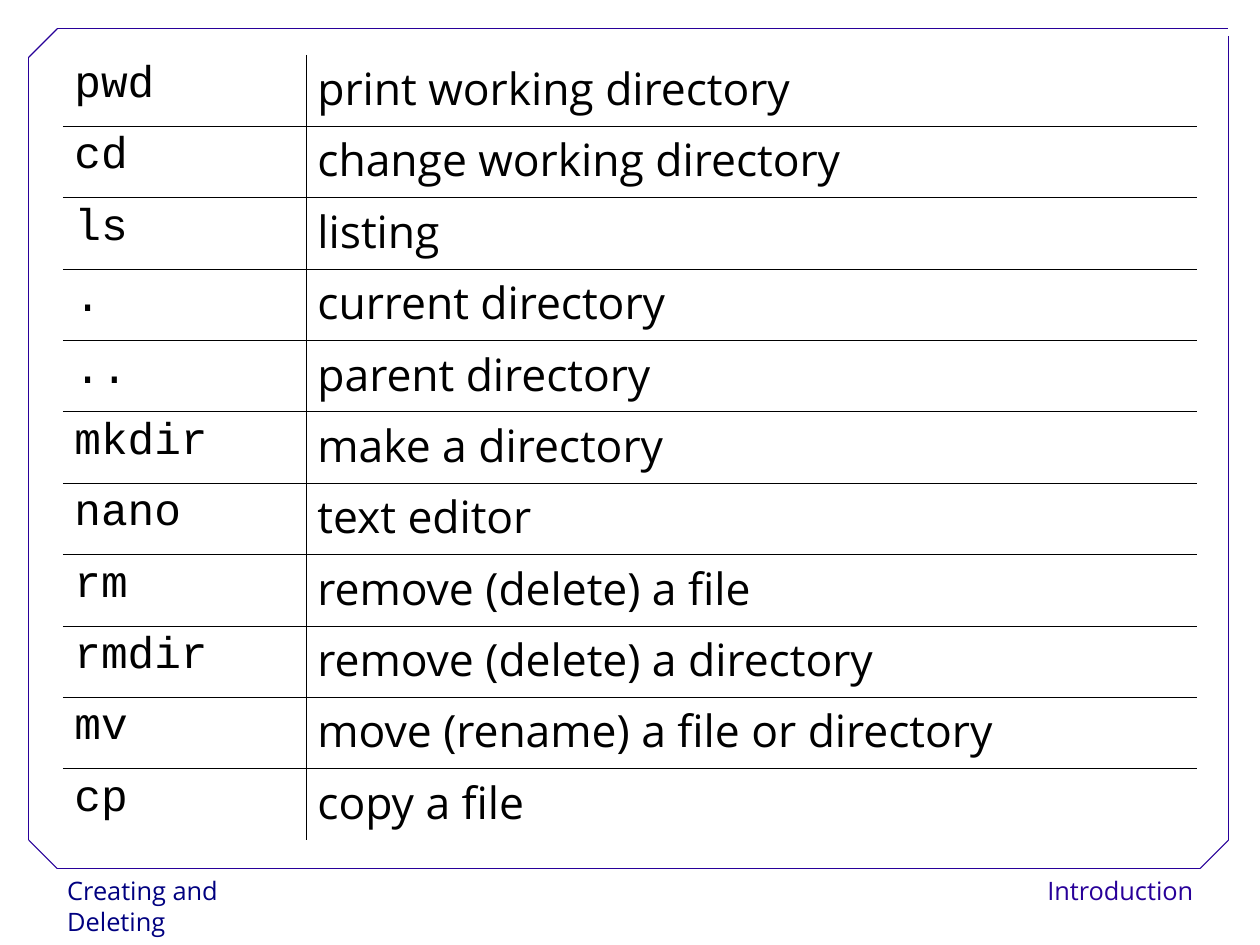
"""Build the slide listing shell commands for creating and deleting files."""
from dataclasses import dataclass

from lxml.etree import SubElement
from pptx import Presentation
from pptx.dml.color import RGBColor
from pptx.enum.shapes import MSO_CONNECTOR
from pptx.enum.text import MSO_ANCHOR, MSO_AUTO_SIZE, PP_ALIGN
from pptx.oxml.ns import qn
from pptx.util import Cm, Pt

COLORS = {"navy": "000080", "violet": "280099", "black": "000000", "white": "FFFFFF"}
MONO, SANS = "Courier New", "Open Sans"


@dataclass
class Label:
    text: str
    left: float
    width: float
    color: str
    align: PP_ALIGN


@dataclass
class Line:
    x1: float
    y1: float
    x2: float
    y2: float


@dataclass
class Command:
    name: str
    meaning: str


TITLE = Label("Creating and Deleting", 1.24, 6.17, "navy", PP_ALIGN.LEFT)
SECTION = Label("Introduction", 23.04, 3.73, "violet", PP_ALIGN.RIGHT)
LEFT, TOP, RIGHT, BOTTOM, CUT = 0.64, 0.64, 27.3, 19.3, 0.63
FRAME = [
    Line(LEFT + CUT, BOTTOM, RIGHT - CUT, BOTTOM),
    Line(LEFT, BOTTOM - CUT, LEFT, TOP + CUT),
    Line(LEFT + CUT, TOP, RIGHT, TOP),
    Line(RIGHT, BOTTOM - CUT, RIGHT, 0.81),
    Line(LEFT, TOP + CUT, LEFT + CUT, TOP),
    Line(RIGHT - CUT, BOTTOM, RIGHT, BOTTOM - CUT),
    Line(LEFT, BOTTOM - CUT, LEFT + CUT, BOTTOM),
]
COMMANDS = [
    Command("pwd", "print working directory"),
    Command("cd", "change working directory"),
    Command("ls", "listing"),
    Command(".", "current directory"),
    Command("..", "parent directory"),
    Command("mkdir", "make a directory"),
    Command("nano", "text editor"),
    Command("rm", "remove (delete) a file"),
    Command("rmdir", "remove (delete) a directory"),
    Command("mv", "move (rename) a file or directory"),
    Command("cp", "copy a file"),
]


def rgb(name: str) -> RGBColor:
    return RGBColor.from_string(COLORS[name])


def format_text(tf, font: str, size: int, color: str, spacing: float) -> None:
    p = tf.paragraphs[0]
    p.line_spacing = spacing
    for r in p.runs:
        r.font.name, r.font.size = font, Pt(size)
        r.font.color.rgb = rgb(color)


def write_label(s, label: Label) -> None:
    s.left, s.top, s.width, s.height = Cm(label.left), Cm(19.3), Cm(label.width), Cm(1.02)
    s.fill.solid()
    s.fill.fore_color.rgb = rgb("white")
    tf = s.text_frame
    tf.text = label.text
    tf.word_wrap = False
    tf.auto_size = MSO_AUTO_SIZE.NONE
    tf.vertical_anchor = MSO_ANCHOR.TOP
    tf.paragraphs[0].alignment = label.align
    format_text(tf, SANS, 16, label.color, 1.02)


def draw_line(shapes, line: Line) -> None:
    s = shapes.add_connector(MSO_CONNECTOR.STRAIGHT, Cm(line.x1), Cm(line.y1),
                             Cm(line.x2), Cm(line.y2))
    s.line.color.rgb = rgb("violet")
    s.line.width = Pt(0.75)
    SubElement(s._element.spPr, qn("a:effectLst"))


def set_borders(cell, visible: dict[str, bool]) -> None:
    tc_pr = cell._tc.get_or_add_tcPr()
    for side, shown in visible.items():
        ln = SubElement(tc_pr, qn(f"a:ln{side}"), w=str(Pt(0.45)))
        if shown:
            fill = SubElement(ln, qn("a:solidFill"))
            SubElement(fill, qn("a:srgbClr"), val=COLORS["black"])
        else:
            SubElement(ln, qn("a:noFill"))


def draw_table(shapes, commands: list[Command]) -> None:
    table = shapes.add_table(len(commands), 2, Cm(1.4), Cm(1.22), Cm(25.2), Cm(17.45)).table
    table.first_row = table.horz_banding = False
    table.columns[0].width, table.columns[1].width = Cm(5.4), Cm(19.8)
    last = len(commands) - 1
    for row, command in enumerate(commands):
        for col, (text, font) in enumerate([(command.name, MONO), (command.meaning, SANS)]):
            cell = table.cell(row, col)
            set_borders(cell, {"L": col > 0, "R": col == 0, "T": row > 0, "B": row < last})
            cell.fill.background()
            tf = cell.text_frame
            tf.text = text
            tf.paragraphs[0].space_after = Pt(14.3)
            format_text(tf, font, 28, "black", 0.93)


def main() -> None:
    prs = Presentation()
    prs.slide_width, prs.slide_height = Cm(28), Cm(21)
    slide = prs.slides.add_slide(prs.slide_layouts[5])
    shapes = slide.shapes
    write_label(shapes.title, TITLE)
    write_label(shapes.add_textbox(0, 0, 0, 0), SECTION)
    frame = shapes.add_group_shape()
    for line in FRAME:
        draw_line(frame.shapes, line)
    draw_table(shapes, COMMANDS)
    prs.save("out.pptx")


if __name__ == "__main__":
    main()
